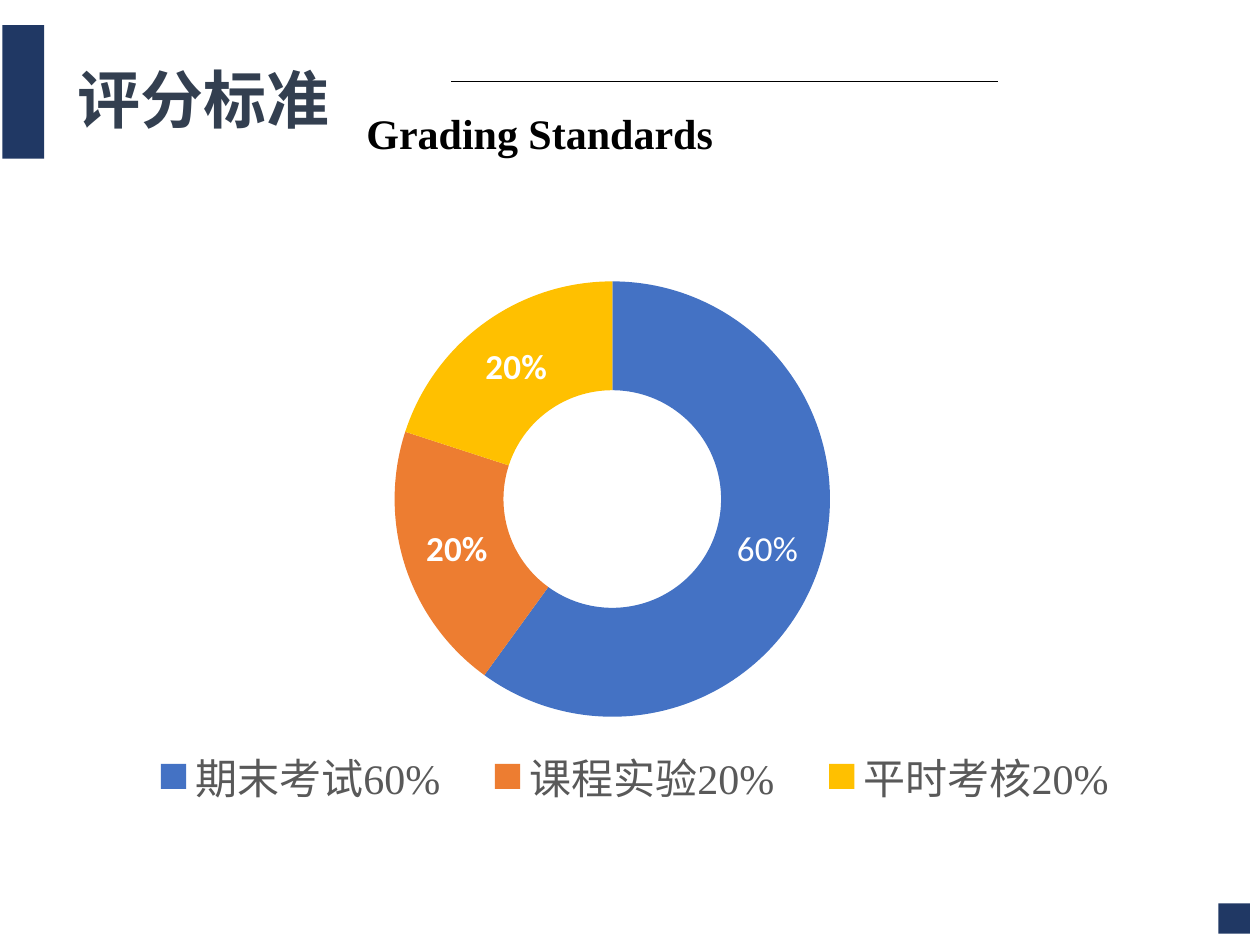
from dataclasses import dataclass

from lxml.etree import SubElement
from pptx import Presentation
from pptx.chart.data import CategoryChartData
from pptx.dml.color import RGBColor
from pptx.enum.chart import XL_CHART_TYPE, XL_LEGEND_POSITION
from pptx.enum.shapes import MSO_CONNECTOR, MSO_SHAPE
from pptx.enum.text import MSO_ANCHOR
from pptx.oxml import parse_xml
from pptx.oxml.ns import nsdecls, qn
from pptx.util import Pt


@dataclass(frozen=True)
class Theme:
    navy: str = "203864"
    slate: str = "333F50"
    black: str = "000000"
    white: str = "FFFFFF"
    grey: str = "595959"
    latin: str = "Times New Roman"
    chinese: str = "Noto Sans CJK SC"
    chart: str = "Calibri"
    title_size: float = 36
    subtitle_size: float = 24
    legend_size: float = 24
    label_size: float = 20


@dataclass(frozen=True)
class Area:
    left: float
    top: float
    width: float
    height: float

    def points(self) -> tuple:
        return Pt(self.left), Pt(self.top), Pt(self.width), Pt(self.height)


@dataclass(frozen=True)
class Share:
    name: str
    percent: int
    color: str


THEME = Theme()
BLOCKS = [Area(1.44, 14.4, 23.76, 76.32), Area(696.24, 516.24, 18, 17.28)]
SHARES = [
    Share("期末考试", 60, "4472C4"),
    Share("课程实验", 20, "ED7D31"),
    Share("平时考核", 20, "FFC000"),
]


def set_font(font, *, size: float, color: str, name: str, bold: bool = False) -> None:
    font.size = Pt(size)
    font.bold = bold
    font.name = name
    font.color.rgb = RGBColor.from_string(color)


def set_chinese_font(properties) -> None:
    """Name the East Asian typeface right after the Latin one."""
    east_asian = SubElement(properties, qn("a:ea"), typeface=THEME.chinese)
    properties.find(qn("a:latin")).addnext(east_asian)


def add_block(page, area: Area) -> None:
    block = page.shapes.add_shape(MSO_SHAPE.RECTANGLE, *area.points())
    block.shadow.inherit = False
    block.fill.solid()
    block.fill.fore_color.rgb = RGBColor.from_string(THEME.navy)
    block.line.fill.background()


def add_text(page, area: Area, text: str, **style) -> None:
    frame = page.shapes.add_textbox(*area.points()).text_frame
    frame.word_wrap = True
    frame.vertical_anchor = MSO_ANCHOR.MIDDLE
    para = frame.paragraphs[0]
    para.line_spacing = 0.9
    span = para.add_run()
    span.text = text
    set_font(span.font, **style)
    set_chinese_font(span.font._element if hasattr(span.font, "_element") else span._r.rPr)


def add_rule(page, left: float, right: float, top: float) -> None:
    rule = page.shapes.add_connector(
        MSO_CONNECTOR.STRAIGHT, Pt(left), Pt(top), Pt(right), Pt(top))
    rule.line.width = Pt(0.5)
    rule.line.color.rgb = RGBColor.from_string(THEME.black)
    SubElement(rule._element.spPr, qn("a:effectLst"))


def make_layout(x: float, y: float, w: float, h: float, inner: bool = False):
    """Build a manual chart layout from fractions of the chart area."""
    target = '<c:layoutTarget val="inner"/>' if inner else ""
    sides = "".join(f'<c:{side} val="{value}"/>' for side, value in zip("xywh", (x, y, w, h)))
    return parse_xml(
        f'<c:layout {nsdecls("c")}><c:manualLayout>{target}<c:xMode val="edge"/>'
        f'<c:yMode val="edge"/>{sides}</c:manualLayout></c:layout>')


def remove_layout(element) -> None:
    for layout in element.findall(qn("c:layout")):
        element.remove(layout)


def add_doughnut(page, area: Area, shares: list[Share]) -> None:
    data = CategoryChartData()
    data.categories = [f"{share.name}{share.percent}%" for share in shares]
    data.add_series("Series 1", [share.percent for share in shares])
    chart = page.shapes.add_chart(XL_CHART_TYPE.DOUGHNUT, *area.points(), data).chart
    chart.has_title = False
    set_font(chart.font, size=10, color=THEME.black, name=THEME.chart)

    plot = chart.plots[0]
    plot.vary_by_categories = True
    plot_area = plot._element.getparent()
    remove_layout(plot_area)
    plot_area.insert(0, make_layout(0.22, 0.08, 0.56, 0.74, inner=True))

    series = plot.series[0]
    label_style = dict(size=THEME.label_size, color=THEME.white, name=THEME.chart)
    labels = series.data_labels
    labels.show_percentage = True
    labels.show_value = False
    labels.number_format = "0%"
    labels.number_format_is_linked = False
    set_font(labels.font, bold=True, **label_style)
    for index, share in enumerate(shares):
        fill = series.points[index].format.fill
        fill.solid()
        fill.fore_color.rgb = RGBColor.from_string(share.color)
    span = series.points[0].data_label.text_frame.paragraphs[0].add_run()
    span.text = f"{shares[0].percent}%"
    set_font(span.font, **label_style)

    chart.has_legend = True
    legend = chart.legend
    legend.position = XL_LEGEND_POSITION.BOTTOM
    legend.include_in_layout = False
    set_font(legend.font, size=THEME.legend_size, color=THEME.grey, name=THEME.latin)
    element = legend._element
    set_chinese_font(next(element.iter(qn("a:defRPr"))))
    remove_layout(element)
    element.find(qn("c:legendPos")).addnext(make_layout(0.06, 0.87, 0.92, 0.11))


def main() -> None:
    deck = Presentation()
    deck.slide_width, deck.slide_height = Pt(720), Pt(540)
    page = deck.slides.add_slide(deck.slide_layouts[6])
    for area in BLOCKS:
        add_block(page, area)
    add_doughnut(page, Area(30.24, 133.92, 639.36, 336.24), SHARES)
    add_text(page, Area(202.32, 55.44, 254.16, 43.92), "Grading Standards",
             size=THEME.subtitle_size, color=THEME.black, name=THEME.latin, bold=True)
    add_text(page, Area(37.44, 27.36, 168.48, 62.64), "评分标准",
             size=THEME.title_size, color=THEME.slate, name=THEME.chinese, bold=True)
    add_rule(page, 257.76, 570.24, 46.8)
    deck.save("out.pptx")


if __name__ == "__main__":
    main()
